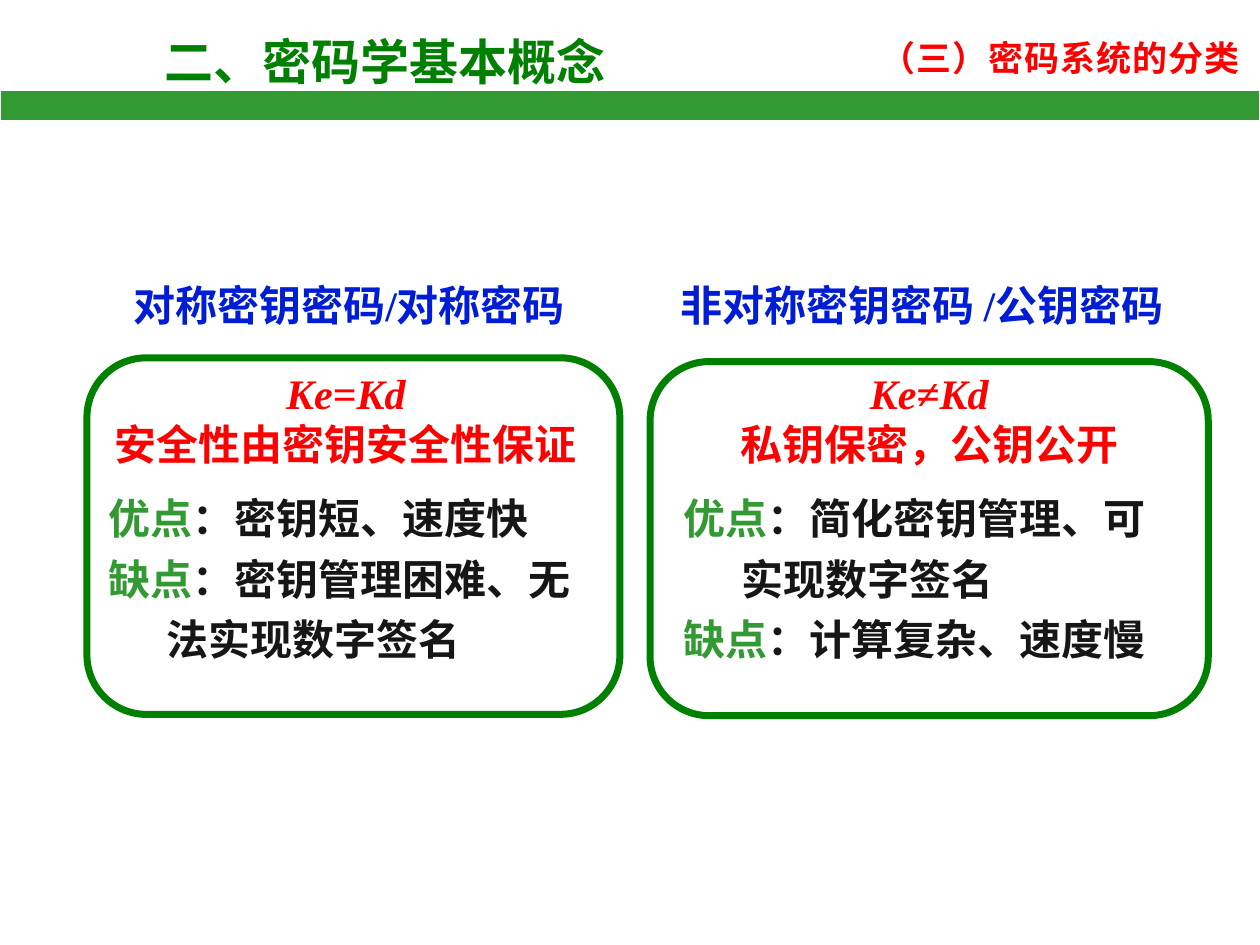
from pptx import Presentation
from pptx.dml.color import RGBColor as RGB
from pptx.enum.shapes import MSO_SHAPE as Shape
from pptx.enum.text import PP_ALIGN as Align
from pptx.util import Inches, Pt
from lxml import etree

GREEN = RGB(0x00, 0x80, 0x00)
LEAF = RGB(0x33, 0x99, 0x33)
RED = RGB(0xFF, 0x00, 0x00)
BLUE = RGB(0x00, 0x1D, 0xD6)
INK = RGB(0x16, 0x16, 0x16)
WHITE = RGB(0xFF, 0xFF, 0xFF)
HAN = "Noto Sans CJK SC"
ROMAN = "Times New Roman"
NS = "http://schemas.openxmlformats.org/drawingml/2006/main"


def add_run(para, text, color, size=24, font=HAN, italic=False):
    run = para.add_run()
    run.text = text
    run.font.name = font
    run.font.size = Pt(size)
    run.font.bold = True
    run.font.italic = italic
    run.font.color.rgb = color
    east = etree.SubElement(run.font._element, f"{{{NS}}}ea")
    east.set("typeface", HAN)
    return run


def add_box(slide, left, top, width, height, wrap=True):
    box = slide.shapes.add_textbox(
        Inches(left), Inches(top), Inches(width), Inches(height))
    box.text_frame.word_wrap = wrap
    return box.text_frame


def add_shape(slide, kind, place, line, weight, fill=None):
    shape = slide.shapes.add_shape(kind, *[Inches(n) for n in place])
    shape.shadow.inherit = False
    if fill is None:
        shape.fill.background()
    else:
        shape.fill.solid()
        shape.fill.fore_color.rgb = fill
    shape.line.color.rgb = line
    shape.line.width = Pt(weight)


def add_lines(frame, count):
    """Return the given number of paragraphs of an empty frame."""
    return [frame.paragraphs[0]] + [
        frame.add_paragraph() for _ in range(count - 1)]


def add_head(slide, left, text):
    frame = add_box(slide, left, 2.17, 4.2, 0.5)
    add_run(frame.paragraphs[0], text, BLUE, font=ROMAN)


def add_rule(slide, left, sign, text):
    """Add the key relation and the line that explains it."""
    top, low = add_lines(add_box(slide, left, 2.87, 4.09, 0.91), 2)
    top.alignment = low.alignment = Align.CENTER
    for part in ("Ke", sign, "Kd"):
        add_run(top, part, RED, font=ROMAN, italic=part != sign)
    add_run(low, text, RED)


def add_points(slide, left, points):
    """Add labelled lines; a line without a label is indented."""
    frame = add_box(slide, left, 3.78, 4.09, 1.49)
    for para, (label, text) in zip(add_lines(frame, len(points)), points):
        para.line_spacing = 1.2
        if label:
            add_run(para, label, LEAF)
        else:
            props = para._p.get_or_add_pPr()
            props.set("marL", str(Inches(0.46)))
            props.set("indent", "0")
        add_run(para, text, INK)


def main():
    deck = Presentation()
    deck.slide_width, deck.slide_height = Inches(10), Inches(7.5)
    slide = deck.slides.add_slide(deck.slide_layouts[6])

    title = add_box(slide, 1.21, 0.2, 4.47, 0.57)
    add_run(title.paragraphs[0], "二、密码学基本概念", GREEN, 28)
    topic = add_box(slide, 6.89, 0.24, 3.09, 0.44, wrap=False)
    run = add_run(topic.paragraphs[0], "（三）密码系统的分类", RED, 20)
    run.font._element.set("spc", "50")
    add_shape(slide, Shape.RECTANGLE, (0, 0.72, 10, 0.24), WHITE, 0.75, LEAF)

    add_head(slide, 0.96, "对称密钥密码/对称密码")
    add_head(slide, 5.3, "非对称密钥密码 /公钥密码")
    for place in ((0.69, 2.84, 4.23, 2.83), (5.16, 2.87, 4.43, 2.81)):
        add_shape(slide, Shape.ROUNDED_RECTANGLE, place, GREEN, 4)

    add_rule(slide, 0.7, "=", "安全性由密钥安全性保证")
    add_rule(slide, 5.33, "≠", "私钥保密，公钥公开")
    add_points(slide, 0.76, [
        ("优点", "：密钥短、速度快"),
        ("缺点", "：密钥管理困难、无"),
        ("", "法实现数字签名")])
    add_points(slide, 5.33, [
        ("优点", "：简化密钥管理、可"),
        ("", "实现数字签名"),
        ("缺点", "：计算复杂、速度慢")])
    deck.save("out.pptx")


if __name__ == "__main__":
    main()
